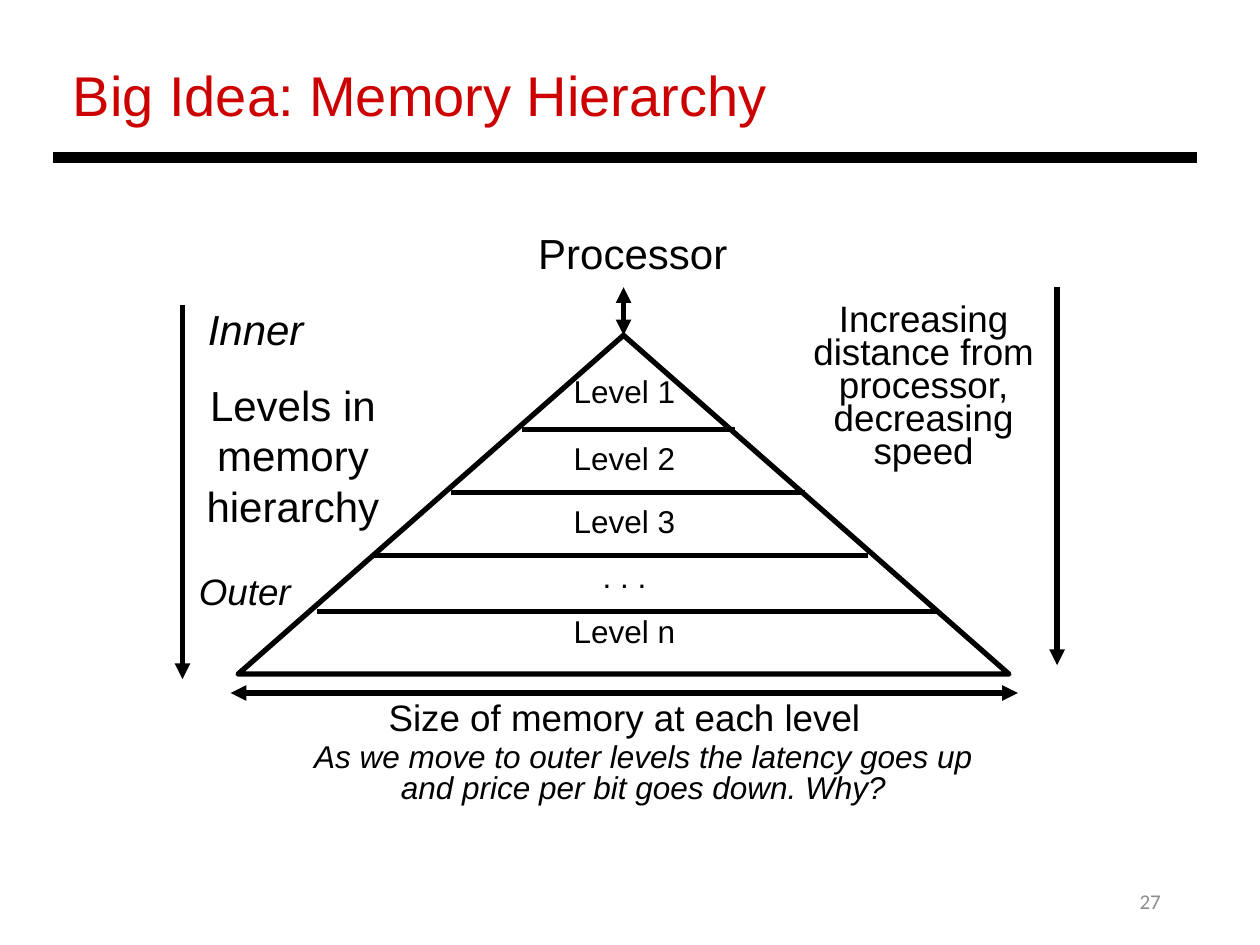
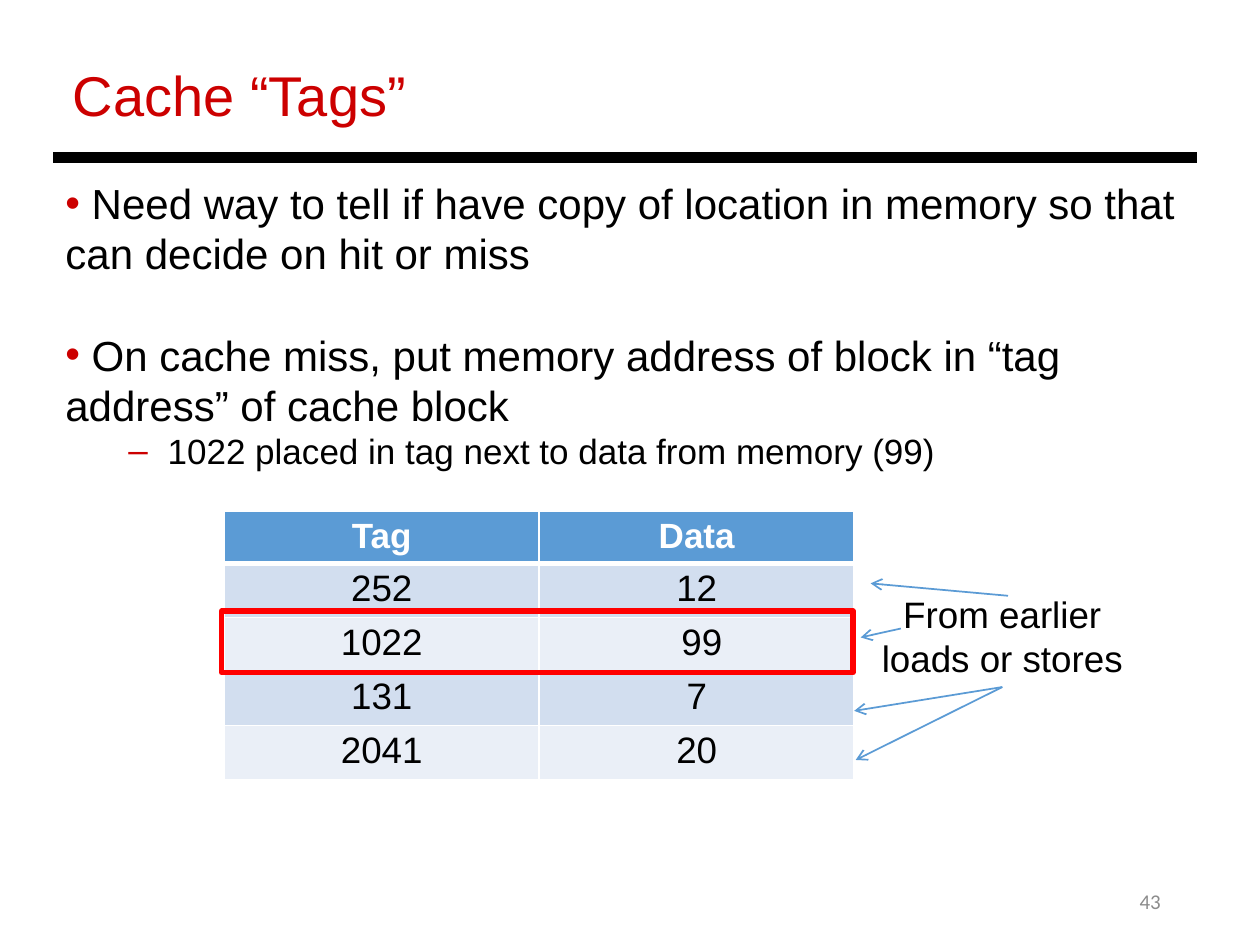
"""Build two lecture slides on the memory hierarchy and cache tags."""
from dataclasses import dataclass

from lxml.etree import SubElement
from pptx import Presentation
from pptx.dml.color import RGBColor
from pptx.enum.shapes import MSO_CONNECTOR, MSO_SHAPE
from pptx.enum.text import MSO_ANCHOR, PP_ALIGN
from pptx.oxml.ns import qn
from pptx.util import Cm, Pt


@dataclass(frozen=True)
class Theme:
    font: str = "Arial"
    number_font: str = "Calibri"
    ink: str = "000000"
    title: str = "CC0000"
    number: str = "8C8C8C"
    accent: str = "5B9BD5"
    highlight: str = "FF0000"
    white: str = "FFFFFF"
    bands: tuple = ("D2DEEF", "EAEFF7")
    title_size: float = 32
    large: float = 24
    medium: float = 21
    detail: float = 20
    small: float = 18
    number_size: float = 12
    thick: float = 6
    stroke: float = 3
    thin: float = 1


TIGHT = (0.13, 0.05)
NORMAL = (0.25, 0.13)


class Deck:
    def __init__(self, theme):
        self.theme = theme
        self.show = Presentation()
        self.show.slide_width, self.show.slide_height = Cm(25.4), Cm(19.05)
        self.slide = None

    def new_slide(self, title, number):
        theme = self.theme
        self.slide = self.show.slides.add_slide(self.show.slide_layouts[6])
        self.text((17.93, 17.65, 5.72, 1.02), number, theme.number_size, color=theme.number,
                  font=theme.number_font, align=PP_ALIGN.RIGHT, anchor=MSO_ANCHOR.MIDDLE)
        self.text((1.22, 1.09, 19.56, 1.63), title, theme.title_size,
                  color=theme.title, align=PP_ALIGN.LEFT)
        self.line((1.07, 3.18), (24.13, 3.18), width=theme.thick)

    def frame(self, box, insets=NORMAL, wrap=True, anchor=MSO_ANCHOR.TOP):
        holder = self.slide.shapes.add_textbox(*map(Cm, box))
        body = holder.text_frame
        body.word_wrap = wrap
        body.vertical_anchor = anchor
        body.margin_left = body.margin_right = Cm(insets[0])
        body.margin_top = body.margin_bottom = Cm(insets[1])
        return holder

    def add_words(self, paragraph, words, size, color=None, font=None, bold=False, italic=False):
        for index, part in enumerate(words.split("\n")):
            if index:
                paragraph.add_line_break()
            run = paragraph.add_run()
            run.text = part
            run.font.name = font or self.theme.font
            run.font.size = Pt(size)
            run.font.bold, run.font.italic = bold, italic
            run.font.color.rgb = RGBColor.from_string(color or self.theme.ink)

    def text(self, box, words, size, align=PP_ALIGN.CENTER, spacing=None, insets=NORMAL,
             wrap=True, anchor=MSO_ANCHOR.TOP, **style):
        holder = self.frame(box, insets, wrap, anchor)
        paragraph = holder.text_frame.paragraphs[0]
        paragraph.alignment = align
        paragraph.line_spacing = spacing
        self.add_words(paragraph, words, size, **style)
        return holder

    def label(self, box, words, size):
        return self.text(box, words, size, spacing=0.75, insets=TIGHT)

    def bullets(self, box, items):
        body = self.frame(box).text_frame
        for index, (words, size, level, mark, margin, indent, gap) in enumerate(items):
            paragraph = body.paragraphs[0] if index == 0 else body.add_paragraph()
            paragraph.level = level
            properties = paragraph._p.get_or_add_pPr()
            properties.set("marL", str(Cm(margin)))
            properties.set("indent", str(Cm(indent)))
            color = SubElement(properties, qn("a:buClr"))
            SubElement(color, qn("a:srgbClr"), val=self.theme.title)
            SubElement(properties, qn("a:buFont"), typeface=self.theme.font)
            SubElement(properties, qn("a:buChar"), char=mark)
            paragraph.space_before = Pt(gap)
            self.add_words(paragraph, words, size)

    def line(self, start, end, color=None, width=None, head=None, tail=None):
        connector = self.slide.shapes.add_connector(
            MSO_CONNECTOR.STRAIGHT, *map(Cm, start + end))
        connector.line.color.rgb = RGBColor.from_string(color or self.theme.ink)
        connector.line.width = Pt(width or self.theme.stroke)
        properties = connector.element.spPr
        outline = properties.find(qn("a:ln"))
        for tag, kind in (("a:headEnd", head), ("a:tailEnd", tail)):
            if kind:
                SubElement(outline, qn(tag), type=kind)
        SubElement(properties, qn("a:effectLst"))
        return connector

    def pointer(self, start, end):
        return self.line(start, end, self.theme.accent, self.theme.thin, tail="arrow")

    def outline(self, kind, box, color):
        figure = self.slide.shapes.add_shape(kind, *map(Cm, box))
        figure.shadow.inherit = False
        figure.fill.background()
        figure.line.color.rgb = RGBColor.from_string(color)
        figure.line.width = Pt(self.theme.stroke)

    def borders(self, cell, bottom):
        properties = cell._tc.get_or_add_tcPr()
        sides = (("a:lnL", 1), ("a:lnR", 1), ("a:lnT", 1), ("a:lnB", bottom))
        for position, (tag, width) in enumerate(sides):
            edge = SubElement(properties, qn(tag), w=str(Pt(width)))
            fill = SubElement(edge, qn("a:solidFill"))
            SubElement(fill, qn("a:srgbClr"), val=self.theme.white)
            properties.insert(position, edge)

    def table(self, left, top, width, heights, rows):
        theme = self.theme
        grid = self.slide.shapes.add_table(len(rows), len(rows[0]), Cm(left), Cm(top),
                                           Cm(width), Cm(sum(heights))).table
        for r, row in enumerate(rows):
            grid.rows[r].height = Cm(heights[r])
            header = r == 0
            for c, words in enumerate(row):
                cell = grid.cell(r, c)
                cell.margin_left = cell.margin_right = Cm(0.18)
                cell.margin_top = cell.margin_bottom = Cm(0.1)
                cell.fill.solid()
                cell.fill.fore_color.rgb = RGBColor.from_string(
                    theme.accent if header else theme.bands[(r - 1) % 2])
                self.borders(cell, theme.stroke if header else theme.thin)
                paragraph = cell.text_frame.paragraphs[0]
                paragraph.alignment = PP_ALIGN.CENTER
                self.add_words(paragraph, words, theme.detail if header else theme.medium,
                               color=theme.white if header else theme.ink, bold=header)


def memory_hierarchy(deck):
    theme = deck.theme
    deck.new_slide("Big Idea: Memory Hierarchy", "27")
    deck.label((4.5, 4.78, 16.51, 0.89), "Processor", theme.large)
    deck.line((12.57, 6.76), (12.57, 5.79), head="triangle", tail="triangle")
    deck.label((5.92, 14.17, 13.34, 0.79), "Size of memory at each level", theme.medium)
    deck.line((4.65, 13.97), (20.52, 13.97), head="triangle", tail="triangle")
    deck.label((16.08, 6.12, 5.08, 3.48),
               "Increasing distance from processor,\ndecreasing speed", theme.medium)
    deck.line((21.31, 5.79), (21.31, 13.41), tail="triangle")

    deck.outline(MSO_SHAPE.ISOSCELES_TRIANGLE, (4.8, 6.76, 15.54, 6.83), theme.ink)
    levels = (("Level 1", 7.62), ("Level 2", 8.97), ("Level 3", 10.24),
              (". . .", 11.35), ("Level n", 12.47))
    for name, top in levels:
        deck.label((11, top, 3.18, 0.69), name, theme.small)
    dividers = ((8.66, 10.52, 14.81), (9.93, 9.09, 16.23),
                (11.2, 7.49, 17.5), (12.32, 6.4, 18.92))
    for y, left, right in dividers:
        deck.line((left, y), (right, y))

    deck.text((3.94, 5.99, 2.46, 1.27), "Inner", theme.large,
              align=PP_ALIGN.LEFT, wrap=False, italic=True)
    deck.text((3.76, 11.33, 2.39, 1.14), "Outer", theme.medium,
              align=PP_ALIGN.LEFT, wrap=False, italic=True)
    deck.text((3.68, 7.52, 4.45, 3.33), "Levels in memory hierarchy", theme.large)
    deck.line((3.68, 6.15), (3.68, 13.69), tail="triangle")
    deck.text((5.59, 14.88, 14.76, 1.5),
              "As we move to outer levels the latency goes up\nand price per bit goes down. Why?",
              theme.small, spacing=0.8, italic=True)


def cache_tags(deck):
    theme = deck.theme
    deck.new_slide("Cache “Tags”", "43")
    deck.bullets((1.07, 3.45, 22.96, 6.4), (
        (" Need way to tell if have copy of location in memory so that can decide on hit or miss",
         theme.large, 0, "•", 0, 0, 0),
        (" On cache miss, put memory address of block in “tag address” of cache block",
         theme.large, 0, "•", 0, 0, 29),
        ("1022 placed in tag next to data from memory (99)",
         theme.detail, 1, "–", 2.06, -0.79, 0),
    ))
    deck.table(4.52, 10.31, 12.7, [1.02] + [1.08] * 4, (
        ("Tag", "Data"), ("252", "12"), ("1022", " 99"), ("131", "7"), ("2041", "20")))
    deck.outline(MSO_SHAPE.RECTANGLE, (4.47, 12.32, 12.73, 1.24), theme.highlight)

    source = deck.text((17.5, 11.79, 5.41, 2.06), "From earlier", theme.medium, wrap=False)
    second_line = source.text_frame.add_paragraph()
    second_line.alignment = PP_ALIGN.CENTER
    deck.add_words(second_line, "loads or stores", theme.medium)
    deck.pointer((20.32, 12.01), (17.55, 11.76))
    deck.pointer((18.16, 12.67), (17.35, 12.85))
    for target in ((17.22, 14.33), (17.25, 15.32)):
        deck.pointer((20.22, 13.84), target).begin_connect(source, 2)


def main():
    deck = Deck(Theme())
    memory_hierarchy(deck)
    cache_tags(deck)
    deck.show.save("out.pptx")


if __name__ == "__main__":
    main()
